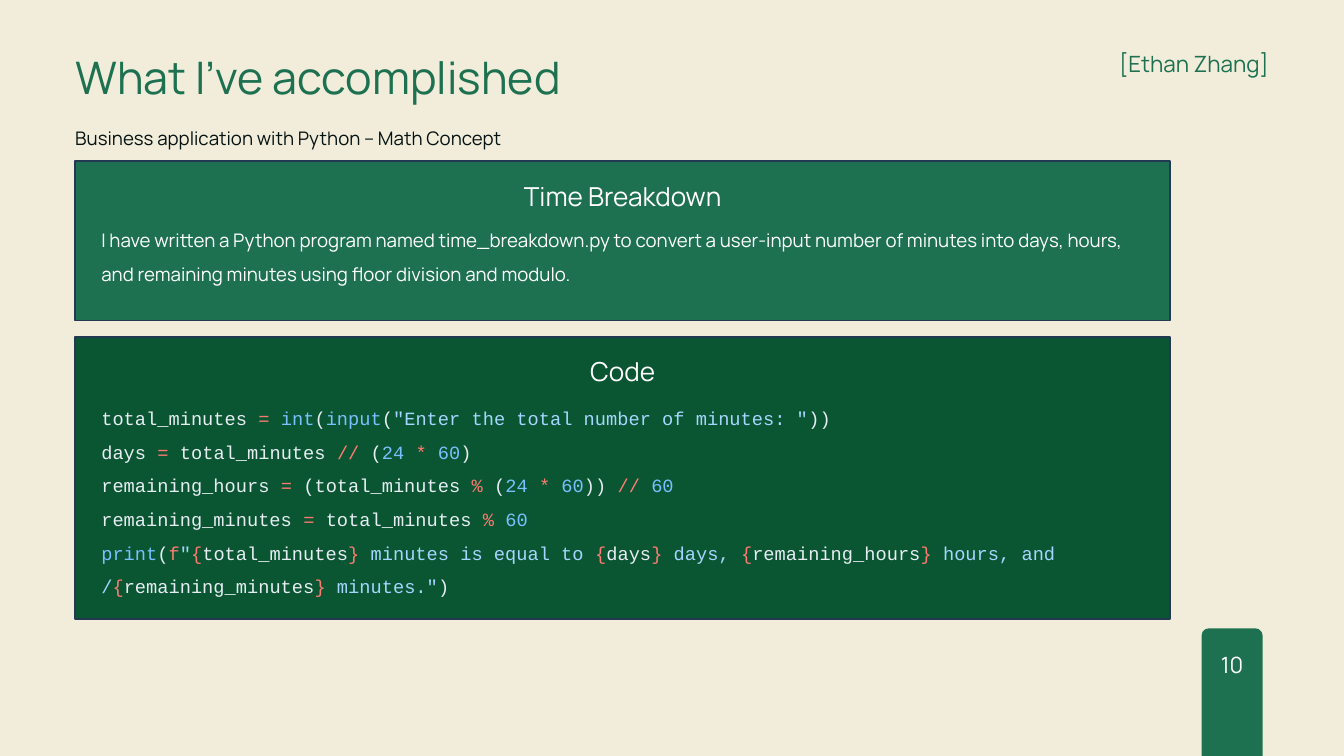
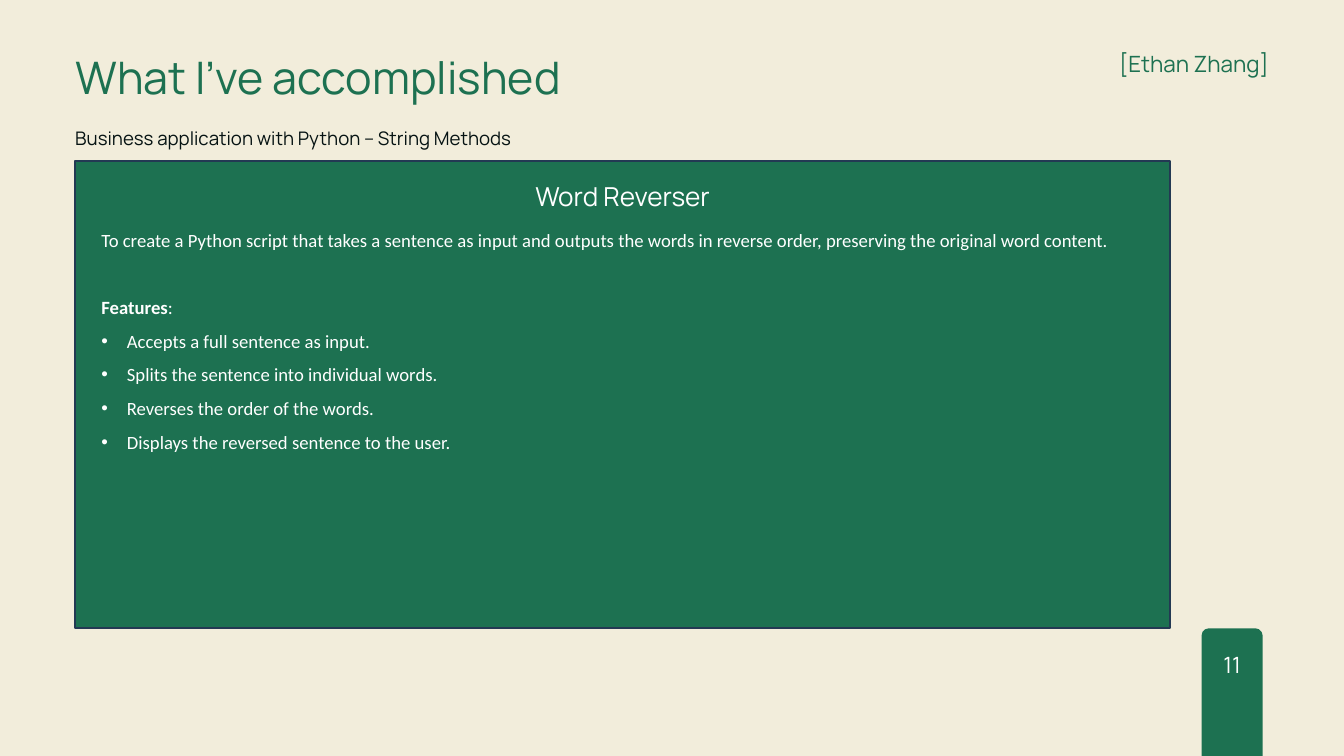
from lxml import etree
from pptx import Presentation
from pptx import util as u
from pptx.dml.color import RGBColor
from pptx.enum import shapes, text
from pptx.oxml.ns import qn

COLORS = {
    "cream": "F2EDDB", "green": "1D7151", "forest": "0A5532", "navy": "233953",
    "black": "061313", "white": "FFFFFF", "plain": "E6EDF3", "operator": "FF7B72",
    "builtin": "79C0FF", "string": "A5D6FF",
}
COLUMNS, ROWS, CELL = 80, 45, 0.25
LEFT, WIDTH = 4.48, 65.16
BODY_LEFT, BODY_WIDTH = 5.64, 62.68
CARD_TOP, BULLET_INDENT = 9.6, 0.38
TITLE = {"size": 48, "color": "green", "spacing": u.Pt(56)}
SUBTITLE = {"size": 20, "color": "black", "spacing": u.Pt(39.2)}
AUTHOR = {"size": 24, "color": "green", "spacing": u.Pt(33.6), "align": text.PP_ALIGN.RIGHT}
NUMBER = {"size": 24, "color": "white", "spacing": u.Pt(33.6), "align": text.PP_ALIGN.CENTER}
HEADING = {"size": 28, "color": "white", "spacing": 1.5, "align": text.PP_ALIGN.CENTER}
BODY = {"size": 20, "color": "white", "spacing": 1.5}
CALIBRI = {**BODY, "font": "Calibri"}
CODE = {**BODY, "font": "Courier New"}


def color(name):
    return RGBColor.from_string(COLORS[name])


def grid(*cells):
    return [u.Inches(cell * CELL) for cell in cells]


class Deck:
    def __init__(self):
        self.presentation = Presentation()
        self.presentation.slide_width, self.presentation.slide_height = grid(COLUMNS, ROWS)
        self.slide = None

    def start_slide(self, subtitle, number):
        self.slide = self.presentation.slides.add_slide(self.presentation.slide_layouts[6])
        fill = self.slide.background.fill
        fill.solid()
        fill.fore_color.rgb = color("cream")
        self.add_text((LEFT, 3.04, WIDTH, 3.16), ["What I’ve accomplished"], TITLE, inset=False)
        self.add_text((LEFT, 6.68, 42, 1.96), [subtitle], SUBTITLE, inset=False)
        self.add_text((59.96, 2.72, 15.56, 1.84), ["[Ethan Zhang]"], AUTHOR, inset=False)
        tab = self.add_box((71.52, 37.4, 3.64, 8), "green", shapes.MSO_SHAPE.ROUNDED_RECTANGLE)
        tab.adjustments[0] = 0.12
        self.add_text((72, 38.48, 2.68, 1.84), [number], NUMBER, inset=False)

    def add_box(self, area, fill, kind=shapes.MSO_SHAPE.RECTANGLE):
        shape = self.slide.shapes.add_shape(kind, *grid(*area))
        shape.shadow.inherit = False
        shape.fill.solid()
        shape.fill.fore_color.rgb = color(fill)
        shape.line.fill.background()
        return shape

    def add_card(self, heading, top, height, fill):
        card = self.add_box((LEFT, top, WIDTH, height), fill)
        card.line.color.rgb = color("navy")
        card.line.width = u.Pt(2)
        card.text_frame.vertical_anchor = text.MSO_ANCHOR.TOP
        self.fill_frame(card.text_frame, [heading], HEADING)

    def add_text(self, area, lines, style, inset=True):
        frame = self.slide.shapes.add_textbox(*grid(*area)).text_frame
        values = {"word_wrap": True, "auto_size": text.MSO_AUTO_SIZE.SHAPE_TO_FIT_TEXT}
        if not inset:
            values.update({f"margin_{side}": 0 for side in ("left", "top", "right", "bottom")})
        for name, value in values.items():
            setattr(frame, name, value)
        return self.fill_frame(frame, lines, style)

    def fill_frame(self, frame, lines, style):
        for index, line in enumerate(lines):
            paragraph = frame.add_paragraph() if index else frame.paragraphs[0]
            values = {"alignment": style.get("align", text.PP_ALIGN.LEFT),
                      "line_spacing": style["spacing"]}
            for name, value in values.items():
                setattr(paragraph, name, value)
            pieces = [(line, style["color"])] if isinstance(line, str) else line
            for words, ink in pieces:
                run = paragraph.add_run()
                run.text = words
                font = {"name": style.get("font", "Manrope"), "size": u.Pt(style["size"])}
                for name, value in font.items():
                    setattr(run.font, name, value)
                run.font.color.rgb = color(ink)
        return frame.paragraphs

    def add_bullet(self, paragraph):
        properties = paragraph._p.get_or_add_pPr()
        indent = u.Inches(BULLET_INDENT)
        properties.set("marL", str(indent))
        properties.set("indent", str(-indent))
        etree.SubElement(properties, qn("a:buFont")).set("typeface", "Arial")
        etree.SubElement(properties, qn("a:buChar")).set("char", "•")


def plain(words):
    return words, "plain"


def operator(words):
    return words, "operator"


def builtin(words):
    return words, "builtin"


def string(words):
    return words, "string"


def field(name):
    return [operator("{"), plain(name), operator("}")]


MINUTES_PER_DAY = [builtin("24 "), operator("* "), builtin("60")]
CODE_LINES = [
    [plain("total_minutes "), operator("= "), builtin("int"), plain("("), builtin("input"),
     plain("("), string('"Enter the total number of minutes: "'), plain("))")],
    [plain("days "), operator("= "), plain("total_minutes "), operator("//"), plain(" ("),
     *MINUTES_PER_DAY, plain(")")],
    [plain("remaining_hours "), operator("="), plain(" (total_minutes "), operator("%"),
     plain(" ("), *MINUTES_PER_DAY, plain(")) "), operator("// "), builtin("60")],
    [plain("remaining_minutes "), operator("= "), plain("total_minutes "), operator("% "),
     builtin("60")],
    [builtin("print"), plain("("), operator("f"), string('"'), *field("total_minutes"),
     string(" minutes is equal to "), *field("days"), string(" days, "),
     *field("remaining_hours"), string(" hours, and /"), *field("remaining_minutes"),
     string(' minutes."'), plain(")")],
]
TIME_BREAKDOWN = (
    "I have written a Python program named time_breakdown.py to convert a user-input number "
    "of minutes into days, hours, and remaining minutes using floor division and modulo."
)
WORD_REVERSER = (
    "To create a Python script that takes a sentence as input and outputs the words in "
    "reverse order, preserving the original word content."
)
FEATURES = [
    "Accepts a full sentence as input.",
    "Splits the sentence into individual words.",
    "Reverses the order of the words.",
    "Displays the reversed sentence to the user.",
]


def build_time_breakdown(deck):
    deck.start_slide("Business application with Python – Math Concept", "10")
    deck.add_card("Code", 20.04, 16.8, "forest")
    deck.add_text((BODY_LEFT, 23.36, BODY_WIDTH, 12.32), CODE_LINES, CODE)
    deck.add_card("Time Breakdown", CARD_TOP, 9.48, "green")
    deck.add_text((BODY_LEFT, 12.76, BODY_WIDTH, 4.28), [TIME_BREAKDOWN], BODY)


def build_word_reverser(deck):
    deck.start_slide("Business application with Python – String Methods", "11")
    deck.add_card("Word Reverser", CARD_TOP, 27.76, "green")
    label = [("Features", "white"), (":", "white")]
    lines = [WORD_REVERSER, label, *FEATURES]
    paragraphs = deck.add_text((BODY_LEFT, 12.76, BODY_WIDTH, 14.32), lines, CALIBRI)
    paragraphs[1].space_before = u.Pt(36)
    paragraphs[1].runs[0].font.bold = True
    for paragraph in paragraphs[2:]:
        deck.add_bullet(paragraph)


def main():
    deck = Deck()
    build_time_breakdown(deck)
    build_word_reverser(deck)
    deck.presentation.save("out.pptx")


if __name__ == "__main__":
    main()
